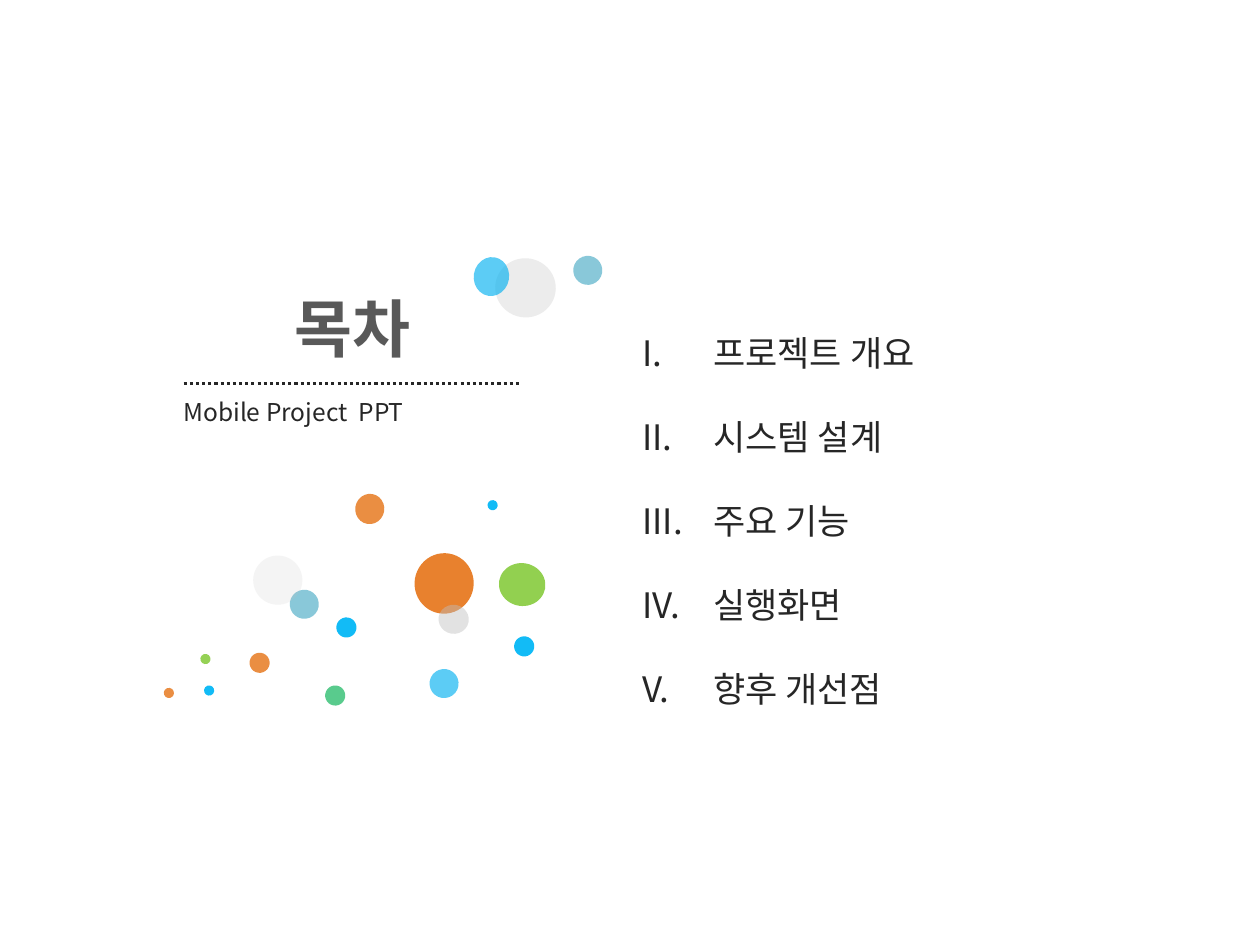
from lxml.etree import SubElement
from pptx import Presentation
from pptx.dml.color import RGBColor
from pptx.enum.dml import MSO_LINE
from pptx.enum.shapes import MSO_CONNECTOR as CONNECTOR, MSO_SHAPE as SHAPE
from pptx.enum.text import MSO_ANCHOR as ANCHOR, MSO_AUTO_SIZE as AUTO, PP_ALIGN as ALIGN
from pptx.oxml.ns import qn
from pptx.util import Pt

FONT = "Noto Sans CJK KR"
INK, GREY = "262626", "595959"
TITLE = "목차"
SUBTITLE = "Mobile Project  PPT"
TOPICS = ["프로젝트 개요", "시스템 설계", "주요 기능", "실행화면", "향후 개선점"]

ORANGE, SKY, BLUE = ("E46C0A", 77), ("00B0F0", 64), ("00B6F6", 93)
TEAL, GREEN, LIME = ("4BACC6", 65), ("00B050", 65), ("92D050", 97)
DOT, SMALL, MEDIUM = (5.8, 5.8), (11.5, 11.5), (16.6, 16.6)
TILT = 9.4
LOWER_BUBBLES = [
    (236.9, 316.1, (33.8, 34.6), ("E46C0A", 85)),
    (245.5, 382.3, MEDIUM, SKY),
    (203, 282.2, (16.6, 17.3), ORANGE),
    (293.8, 363.6, SMALL, BLUE),
    (116.6, 391.7, DOT, BLUE),
    (142.6, 373, SMALL, ORANGE),
    (278.6, 285.8, DOT, BLUE),
    (114.5, 373.7, DOT, LIME),
    (93.6, 393.1, DOT, ORANGE),
    (165.6, 337, MEDIUM, TEAL),
    (185.8, 391.7, SMALL, GREEN),
    (285.1, 321.8, (26.6, 24.5), ("92D050", 100)),
    (192.2, 352.8, SMALL, BLUE),
    (144.7, 317.5, (28.1, 28.1), ("BFBFBF", 17)),
    (250.6, 345.6, (17.3, 16.6), ("BFBFBF", 45)),
]
UPPER_BUBBLES = [
    (283, 147.6, (34.6, 33.8), ("BFBFBF", 29)),
    (327.6, 146.2, MEDIUM, TEAL),
    (270.7, 146.9, (20.2, 22.3), SKY),
]


def paint(color_format, value):
    color_format.rgb = RGBColor.from_string(value)


def write(sp, box, lines, size, color=INK, bold=False, align=ALIGN.LEFT,
          spacing=1.0, numbered=False, inset=(7.2, 3.6)):
    sp.left, sp.top, sp.width, sp.height = (Pt(v) for v in box)
    tf = sp.text_frame
    tf.word_wrap, tf.auto_size = True, AUTO.NONE
    tf.vertical_anchor = ANCHOR.TOP
    tf.margin_left, tf.margin_top = (Pt(v) for v in inset)
    for i, line in enumerate(lines):
        p = tf.add_paragraph() if i else tf.paragraphs[0]
        p.alignment, p.line_spacing = align, spacing
        r = p.add_run()
        r.text = line
        r.font.name, r.font.size, r.font.bold = FONT, Pt(size), bold
        paint(r.font.color, color)
        SubElement(r.font._element, qn("a:ea"), typeface=FONT)
        if numbered:
            pPr = p._p.get_or_add_pPr()
            pPr.set("marL", str(Pt(40.5)))
            pPr.set("indent", str(-Pt(40.5)))
            SubElement(pPr, qn("a:buFont"), typeface="+mj-lt")
            SubElement(pPr, qn("a:buAutoNum"), type="romanUcPeriod")


def add_bubbles(shapes, bubbles):
    for x, y, (w, h), (color, opacity) in bubbles:
        sp = shapes.add_shape(SHAPE.OVAL, Pt(x), Pt(y), Pt(w), Pt(h))
        sp.rotation = TILT
        sp.shadow.inherit = False
        sp.line.fill.background()
        sp.fill.solid()
        paint(sp.fill.fore_color, color)
        if opacity < 100:
            clr = sp._element.spPr.find(".//" + qn("a:srgbClr"))
            SubElement(clr, qn("a:alpha"), val=str(opacity * 1000))


prs = Presentation()
prs.slide_width, prs.slide_height = Pt(720), Pt(540)
s = prs.slides.add_slide(prs.slide_layouts[5])
shapes = s.shapes

write(shapes.title, (87.8, 162, 226.8, 51.1), [TITLE], 36, GREY, bold=True, align=ALIGN.CENTER)

rule = shapes.add_connector(CONNECTOR.STRAIGHT, Pt(105), Pt(218.9), Pt(297.4), Pt(218.9))
paint(rule.line.color, INK)
rule.line.width, rule.line.dash_style = Pt(1.75), MSO_LINE.ROUND_DOT
SubElement(rule._element.spPr, qn("a:effectLst"))

topics = shapes.add_textbox(0, 0, 0, 0)
write(topics, (360, 162, 266.4, 249.8), TOPICS, 20, spacing=2.0, numbered=True)
subtitle = shapes.add_textbox(0, 0, 0, 0)
write(subtitle, (93.6, 218.9, 232.6, 28.8), [SUBTITLE], 14, align=ALIGN.JUSTIFY, inset=(11.2, 8.2))

add_bubbles(shapes.add_group_shape().shapes, LOWER_BUBBLES)
add_bubbles(shapes, UPPER_BUBBLES)

prs.save("out.pptx")
